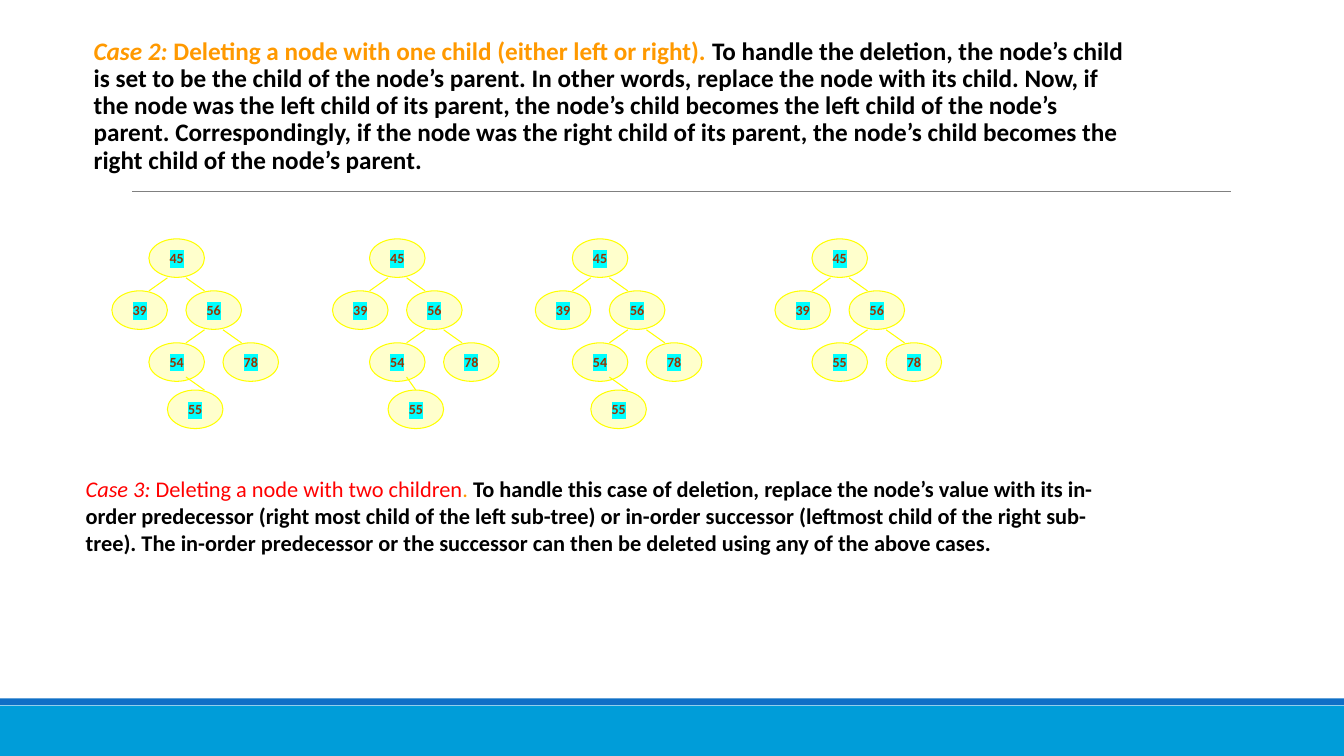
from collections import namedtuple

from lxml.etree import SubElement
from pptx import Presentation
from pptx.dml.color import RGBColor
from pptx.enum.shapes import MSO_CONNECTOR, MSO_SHAPE
from pptx.enum.text import MSO_ANCHOR, MSO_AUTO_SIZE, PP_ALIGN
from pptx.oxml.ns import qn
from pptx.util import Cm, Pt

Box = namedtuple("Box", "x y w h")


class Theme:
    font = "Calibri"
    lead, body, node = 18, 16, 10
    ink, orange, red, brown = "000000", "FF9900", "FF0000", "993300"
    cream, yellow, cyan = "FFFFCC", "FFFF00", "00FFFF"
    blue, sky, grey = "0F6FC6", "009DD9", "808080"


NODE_W, NODE_H = 1.4, 0.97
STEP = NODE_W / 3
ROWS = (0, 1.31, 2.62, 3.81)
EDGE_H = 0.33

# text, column, row, column where the edge starts, edge direction
TOP = [("45", 2, 0, None, 0), ("39", 0, 1, 3, -1),
       ("56", 4, 1, 4, 1), ("78", 6, 2, 6, 1)]
BEFORE = TOP + [("54", 2, 2, 5, -1), ("55", 3, 3, 4, 1)]
AFTER = TOP + [("55", 2, 2, 5, -1)]


def rgb(code):
    return RGBColor.from_string(code)


def put(para, text, size, color, bold=False, italic=False, mark=None):
    """Add a run of text; mark is its highlight colour."""
    run = para.add_run()
    run.text = text
    font = run.font
    font.size, font.bold, font.italic = Pt(size), bold, italic
    font.color.rgb = rgb(color)
    if mark:
        light = SubElement(run._r.get_or_add_rPr(), qn("a:highlight"))
        SubElement(light, qn("a:srgbClr")).set("val", mark)
    font.name = Theme.font


def shape(shapes, kind, box, fill, edge=None):
    item = shapes.add_shape(kind, *map(Cm, box))
    item.shadow.inherit = False
    item.fill.solid()
    item.fill.fore_color.rgb = rgb(fill)
    if edge:
        item.line.color.rgb = rgb(edge)
        item.line.width = Pt(0.75)
    else:
        item.line.fill.background()
    return item


def rule(shapes, x1, y1, x2, y2, color, width):
    line = shapes.add_connector(MSO_CONNECTOR.STRAIGHT,
                                Cm(x1), Cm(y1), Cm(x2), Cm(y2))
    line.line.color.rgb = rgb(color)
    line.line.width = Pt(width)
    SubElement(line._element.spPr, qn("a:effectLst"))


def frame(slide, box):
    """Draw the footer bands and the rule below the lead text."""
    bar = MSO_SHAPE.RECTANGLE
    shape(slide.shapes, bar, Box(box.x, box.h - 1.27, box.w, 1.27), Theme.sky)
    shape(slide.shapes, bar, Box(box.x, box.h - 1.45, box.w, 0.17), Theme.blue)
    rule(slide.shapes, box.x + 3.33, box.y + 4.82, box.x + 31.01,
         box.y + 4.82, Theme.grey, 0.5)


def lead(holder, box):
    holder.left, holder.top, holder.width, holder.height = map(Cm, box)
    text = holder.text_frame
    text.auto_size = MSO_AUTO_SIZE.NONE
    text.margin_left = text.margin_right = 0
    para = text.paragraphs[0]
    props = para._p.get_or_add_pPr()
    props.set("marL", str(Cm(0.25)))
    props.set("indent", str(-Cm(0.25)))
    tint = SubElement(props, qn("a:buClr"))
    SubElement(tint, qn("a:srgbClr")).set("val", Theme.blue)
    SubElement(props, qn("a:buChar")).set("char", " ")
    para.line_spacing, para.space_before, para.space_after = 0.9, Pt(0), Pt(2)
    put(para, "Case 2:", Theme.lead, Theme.orange, bold=True, italic=True)
    put(para, " Deleting a node with one child (either left or right). ",
        Theme.lead, Theme.orange, bold=True)
    put(para, "To handle the deletion, the node’s child is set to be the child "
        "of the node’s parent. In other words, replace the node with its child. "
        "Now, if the node was the left child of its parent, the node’s child "
        "becomes the left child of the node’s parent. Correspondingly, if the "
        "node was the right child of its parent, the node’s child becomes the "
        "right child of the node’s parent.", Theme.lead, Theme.ink, bold=True)


def tree(slide, x, y, nodes, dip=0):
    """Draw a tree from its top left; dip lowers the end of the last edge."""
    shapes = slide.shapes.add_group_shape().shapes
    for label, col, row, start, way in nodes:
        top = y + ROWS[row]
        if start is not None:
            end = top + (dip if row == 3 else 0)
            rule(shapes, x + start * STEP, top - EDGE_H,
                 x + (start + way) * STEP, end, Theme.yellow, 0.75)
        node = shape(shapes, MSO_SHAPE.OVAL,
                     Box(x + col * STEP, top, NODE_W, NODE_H),
                     Theme.cream, Theme.yellow)
        text = node.text_frame
        text.margin_left = text.margin_right = 0
        text.margin_top = text.margin_bottom = 0
        text.vertical_anchor = MSO_ANCHOR.MIDDLE
        para = text.paragraphs[0]
        para.alignment = PP_ALIGN.CENTER
        put(para, label, Theme.node, Theme.brown, bold=True, mark=Theme.cyan)


def forest(slide, box):
    for x, nodes, dip in ((0, BEFORE, 0), (5.56, BEFORE, 0.33),
                          (10.67, BEFORE, 0), (16.71, AFTER, 0)):
        tree(slide, box.x + x, box.y, nodes, dip)


def note(slide, box):
    text = slide.shapes.add_textbox(*map(Cm, box)).text_frame
    text.word_wrap = True
    text.auto_size = MSO_AUTO_SIZE.SHAPE_TO_FIT_TEXT
    para = text.paragraphs[0]
    put(para, "Case 3:", Theme.body, Theme.red, italic=True)
    put(para, " Deleting a node with two children", Theme.body, Theme.red)
    put(para, ". ", Theme.body, Theme.orange)
    put(para, "To handle this case of deletion, replace the node’s value with "
        "its in-order predecessor (right most child of the left sub-tree) or "
        "in-order successor (leftmost child of the right sub-tree). The "
        "in-order predecessor or the successor can then be deleted using any "
        "of the above cases.", Theme.body, Theme.ink, bold=True)


def main():
    deck = Presentation()
    page = Box(0, 0, 33.87, 19.05)
    deck.slide_width, deck.slide_height = Cm(page.w), Cm(page.h)
    slide = deck.slides.add_slide(deck.slide_layouts[1])
    title = slide.shapes.title._element
    title.getparent().remove(title)
    frame(slide, page)
    lead(slide.placeholders[1], Box(2.11, 0.84, 26.47, 4.45))
    forest(slide, Box(2.82, 6.02, 21.1, 4.78))
    note(slide, Box(1.91, 11.86, 26.87, 2.31))
    deck.save("out.pptx")


if __name__ == "__main__":
    main()
